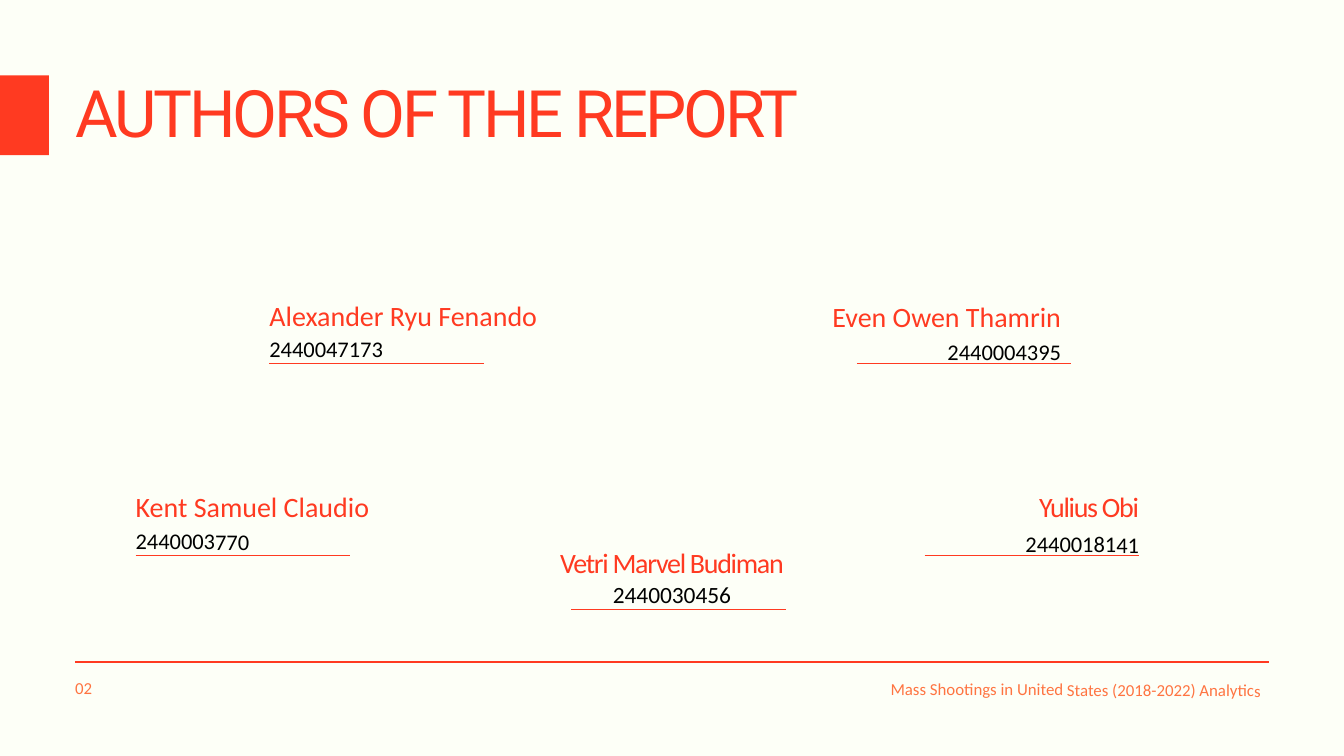
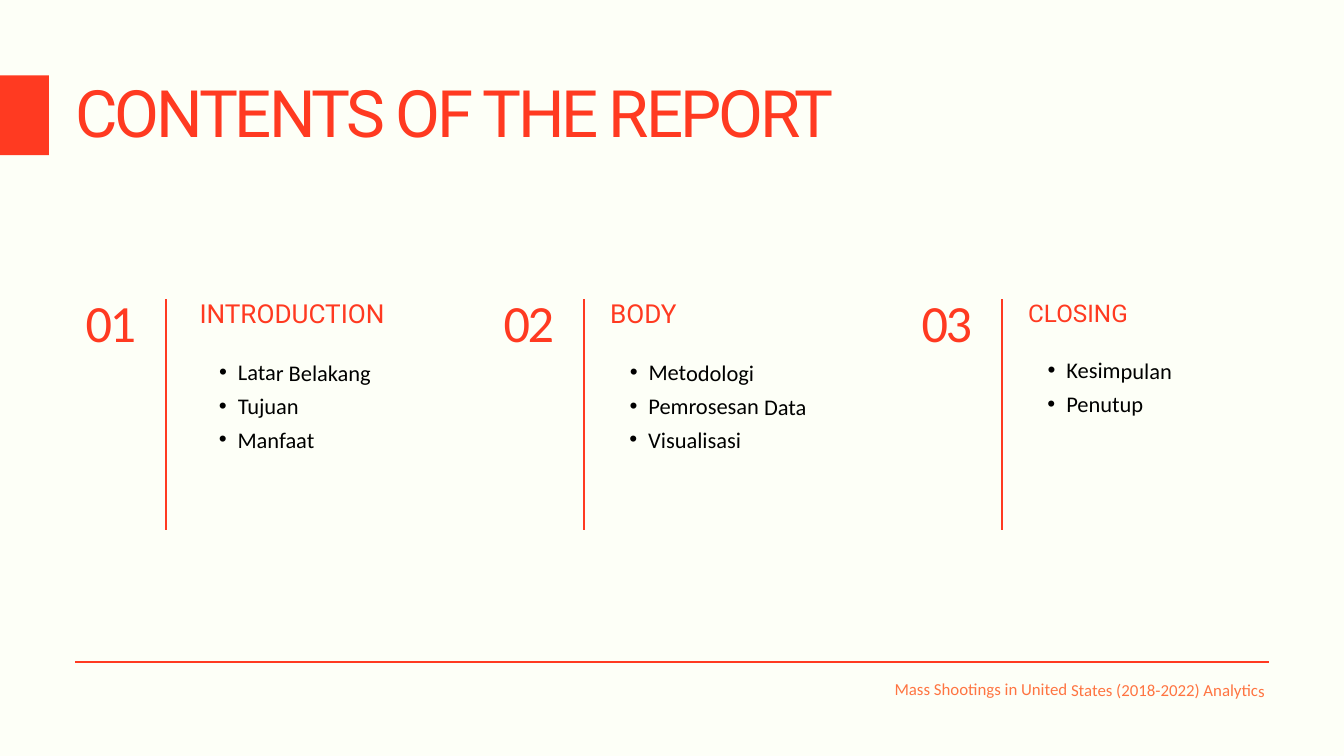
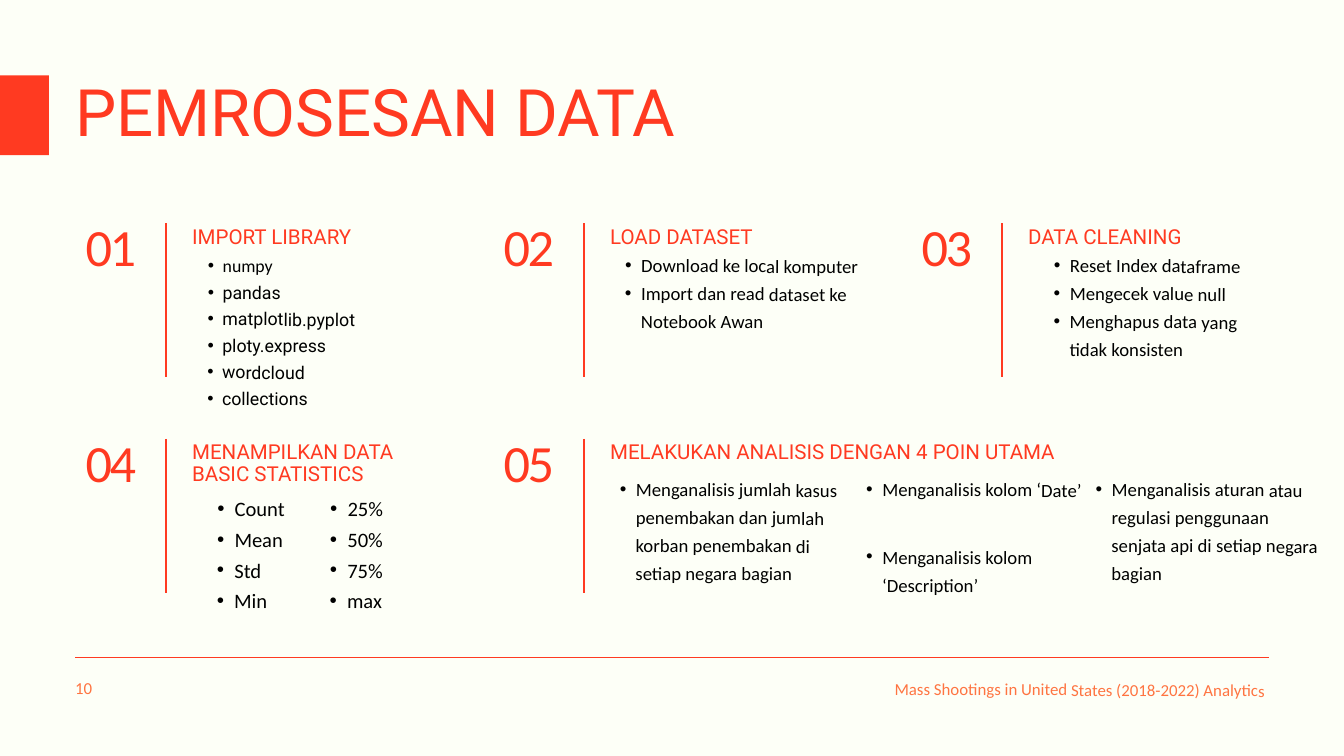
from dataclasses import dataclass

from lxml.etree import SubElement
from pptx import Presentation
from pptx.dml.color import RGBColor
from pptx.enum.shapes import MSO_CONNECTOR, MSO_SHAPE
from pptx.enum.text import MSO_ANCHOR, MSO_AUTO_SIZE, PP_ALIGN
from pptx.oxml.ns import qn
from pptx.util import Inches, Pt

# Shared look
CREAM, RED, ORANGE, BLACK = "FDFFF7", "FF3A21", "FF7441", "000000"
HEAD_FONT, BODY_FONT = "Roboto", "Calibri"
LEFT, CENTER, RIGHT = PP_ALIGN.LEFT, PP_ALIGN.CENTER, PP_ALIGN.RIGHT
MARGIN, RIGHT_EDGE = 1.12, 18.88
COLUMN_STEP = 6.22
TILT = 0.3
FOOTER = "Mass Shootings in United States (2018-2022) Analytics"


@dataclass
class Author:
    name: str
    number: str
    left: float
    top: float
    width: float
    rule_left: float
    rule_top: float
    align: PP_ALIGN = LEFT
    number_dy: float = 0.36
    number_size: float = 24
    spacing: float = 0


@dataclass
class Section:
    column: int
    top: float
    heading: str
    heading_top: float
    heading_left: float = 0
    heading_size: float = 22
    heading_width: float = 3.58


@dataclass
class Bullets:
    left: float
    top: float
    width: float
    height: float
    items: list[str]
    size: float = 20
    font: str = BODY_FONT


AUTHORS = [
    Author("Alexander Ryu Fenando", "2440047173", 4.01, 4.54, 5.2, 4.01, 5.4),
    Author("Even Owen Thamrin", "2440004395", 10.75, 4.56, 5.04, 12.75, 5.41, RIGHT),
    Author("Kent Samuel Claudio", "2440003770", 2.02, 7.39, 5.5, 2.02, 8.26,
           number_dy=0.37),
    Author("Vetri Marvel Budiman", "2440030456", 7.63, 8.22, 4.74, 8.5, 9.07, CENTER,
           number_dy=0.31, number_size=25, spacing=-1.4),
    Author("Yulius Obi", "2440018141", 13.76, 7.39, 3.19, 13.76, 8.27, RIGHT,
           number_dy=0.4, spacing=-1.4),
]

CONTENTS = [
    Section(0, 4.41, "INTRODUCTION", 4.47, 2.97, 28),
    Section(1, 4.41, "BODY", 4.47, heading_size=28),
    Section(2, 4.41, "CLOSING", 4.48, heading_size=26),
]
CONTENTS_LISTS = [
    Bullets(2.97, 5.24, 3.57, 1.42, ["Latar Belakang", "Tujuan", "Manfaat"], 24),
    Bullets(9.08, 5.24, 3.57, 1.42, ["Metodologi", "Pemrosesan Data", "Visualisasi"], 24),
    Bullets(15.3, 5.21, 3.57, 0.93, ["Kesimpulan", "Penutup"], 24),
]

STEPS = [
    Section(0, 3.28, "IMPORT LIBRARY", 3.37),
    Section(1, 3.28, "LOAD DATASET", 3.37),
    Section(2, 3.28, "DATA CLEANING", 3.37),
    Section(0, 6.49, "MENAMPILKAN DATA BASIC STATISTICS", 6.56),
    Section(1, 6.49, "MELAKUKAN ANALISIS DENGAN 4 POIN UTAMA", 6.56, heading_width=7.53),
]
STEP_LISTS = [
    Bullets(9.07, 3.7, 3.96, 1.66,
            ["Download ke local komputer", "Import dan read dataset ke Notebook Awan"]),
    Bullets(15.45, 3.7, 3.57, 1.66,
            ["Reset Index dataframe", "Mengecek value null",
             "Menghapus data yang tidak konsisten"]),
    Bullets(2.97, 7.29, 1.57, 1.76, ["Count", "Mean", "Std", "Min"], 22),
    Bullets(4.65, 7.29, 1.57, 1.76, ["25%", "50%", "75%", "max"], 22),
    Bullets(8.99, 7.03, 3.57, 2.07,
            ["Menganalisis jumlah kasus penembakan dan jumlah korban penembakan "
             "di setiap negara bagian"]),
    Bullets(12.66, 7.03, 3.57, 0.82, ["Menganalisis kolom ‘Date’"]),
    Bullets(12.66, 8.04, 3.57, 0.82, ["Menganalisis kolom ‘Description’"]),
    Bullets(16.07, 7.03, 3.57, 2.07,
            ["Menganalisis aturan atau regulasi penggunaan senjata api "
             "di setiap negara bagian"]),
]
LIBRARIES = Bullets(2.86, 3.72, 3.57, 2.67,
                    ["numpy", "pandas", "matplotlib.pyplot", "ploty.express",
                     "wordcloud", "collections"], 19, HEAD_FONT)


# Drawing helpers
def color(value: str) -> RGBColor:
    return RGBColor.from_string(value)


def add_bullet(p, size: float) -> None:
    pPr = p._p.get_or_add_pPr()
    pPr.set("marL", str(Inches(round(size * 0.0236, 2))))
    pPr.set("indent", str(-Inches(round(size * 0.0118, 2))))
    pPr.set("lvl", "1")
    SubElement(pPr, qn("a:buFont")).set("typeface", "Arial")
    SubElement(pPr, qn("a:buChar")).set("char", "•")


def write(tf, lines: list[str], *, size: float, font: str = BODY_FONT, fill: str = RED,
          leading: float = 1.5, align: PP_ALIGN = LEFT, spacing: float = 0,
          bullets: bool = False) -> None:
    tf.margin_left = tf.margin_right = tf.margin_top = tf.margin_bottom = 0
    tf.word_wrap = True
    tf.auto_size = MSO_AUTO_SIZE.SHAPE_TO_FIT_TEXT
    tf.vertical_anchor = MSO_ANCHOR.TOP
    for i, line in enumerate(lines):
        p = tf.paragraphs[0] if i == 0 else tf.add_paragraph()
        if bullets:
            add_bullet(p, size)
        p.alignment = align
        p.line_spacing = Pt(round(size * leading, 1))
        r = p.add_run()
        r.text = line
        r.font.size, r.font.name = Pt(size), font
        r.font.color.rgb = color(fill)
        if spacing:
            r._r.get_or_add_rPr().set("spc", str(round(spacing * 100)))


def add_text(s, left: float, top: float, width: float, height: float,
             lines: list[str], *, rotation: float = 0, **style):
    box = s.shapes.add_textbox(Inches(left), Inches(top), Inches(width), Inches(height))
    box.rotation = rotation
    write(box.text_frame, lines, **style)
    return box.text_frame


def add_rule(s, x1: float, y1: float, x2: float, y2: float, weight: float = 1.5) -> None:
    rule = s.shapes.add_connector(MSO_CONNECTOR.STRAIGHT, Inches(x1), Inches(y1),
                                  Inches(x2), Inches(y2))
    rule.line.color.rgb = color(RED)
    rule.line.width = Pt(weight)
    SubElement(rule._element.spPr, qn("a:effectLst"))


def add_bullets(s, b: Bullets):
    return add_text(s, b.left, b.top, b.width, b.height, b.items, rotation=TILT,
                    size=b.size, font=b.font, fill=BLACK, bullets=True)


def add_author(s, a: Author) -> None:
    add_rule(s, a.rule_left, a.rule_top, a.rule_left + 3.19, a.rule_top, 0.75)
    add_text(s, a.left, a.top + a.number_dy, a.width, 0.44, [a.number], rotation=TILT,
             size=a.number_size, fill=BLACK, align=a.align)
    add_text(s, a.left, a.top, a.width, 0.44, [a.name], size=30, leading=0.96,
             align=a.align, spacing=a.spacing)


def add_sections(s, sections: list[Section], rule_height: float) -> None:
    for i, sec in enumerate(sections, 1):
        left = MARGIN + COLUMN_STEP * sec.column
        add_rule(s, left + 1.35, sec.top + 0.04, left + 1.35, sec.top + 0.04 + rule_height)
        add_text(s, left, sec.top, 1.06, 0.86, [f"{i:02}"], size=56, leading=1.08,
                 align=CENTER, spacing=-2.6)
        add_text(s, sec.heading_left or left + 1.74, sec.heading_top, sec.heading_width,
                 0.45, [sec.heading], size=sec.heading_size, font=HEAD_FONT, leading=1.1)


def add_base(prs, title: str, *, page: str = "", title_top: float = 1.3,
             spacing: float = -3.3, rule_top: float = 9.85, footer_right: float = 18.82):
    s = prs.slides.add_slide(prs.slide_layouts[5])
    # Side band and title
    band = s.shapes.add_shape(MSO_SHAPE.RECTANGLE, Inches(-0.6), Inches(1.12),
                              Inches(1.33), Inches(1.19))
    band.shadow.inherit = False
    band.fill.solid()
    band.fill.fore_color.rgb = color(RED)
    band.line.fill.background()
    ph = s.shapes.title
    ph.left, ph.top = Inches(MARGIN), Inches(title_top)
    ph.width, ph.height = Inches(17.75), Inches(1)
    write(ph.text_frame, [title], size=70, font=HEAD_FONT, leading=0.96, spacing=spacing)
    # Footer
    add_rule(s, MARGIN, rule_top, RIGHT_EDGE, rule_top)
    if page:
        add_text(s, MARGIN, 10.02, 1.35, 0.36, [page], rotation=TILT, size=18, fill=ORANGE)
    add_text(s, footer_right - 6.73, 10.03, 6.73, 0.36, [FOOTER], rotation=TILT,
             size=18, fill=ORANGE, align=RIGHT)
    return s


def main() -> None:
    prs = Presentation()
    prs.slide_width, prs.slide_height = Inches(20), Inches(11.25)
    bg = prs.slide_master.background.fill
    bg.solid()
    bg.fore_color.rgb = color(CREAM)

    # Authors
    s = add_base(prs, "AUTHORS OF THE REPORT", page="02", footer_right=18.76)
    for author in AUTHORS:
        add_author(s, author)

    # Contents
    s = add_base(prs, "CONTENTS OF THE REPORT")
    add_sections(s, CONTENTS, 3.44)
    for block in CONTENTS_LISTS:
        add_bullets(s, block)

    # Data processing
    s = add_base(prs, "PEMROSESAN DATA", page="10", title_top=1.29, spacing=0,
                 rule_top=9.78)
    add_sections(s, STEPS, 2.29)
    tf = add_bullets(s, LIBRARIES)
    tf.paragraphs[0].runs[0].font.name = BODY_FONT
    for block in STEP_LISTS:
        add_bullets(s, block)

    prs.save("out.pptx")


if __name__ == "__main__":
    main()
